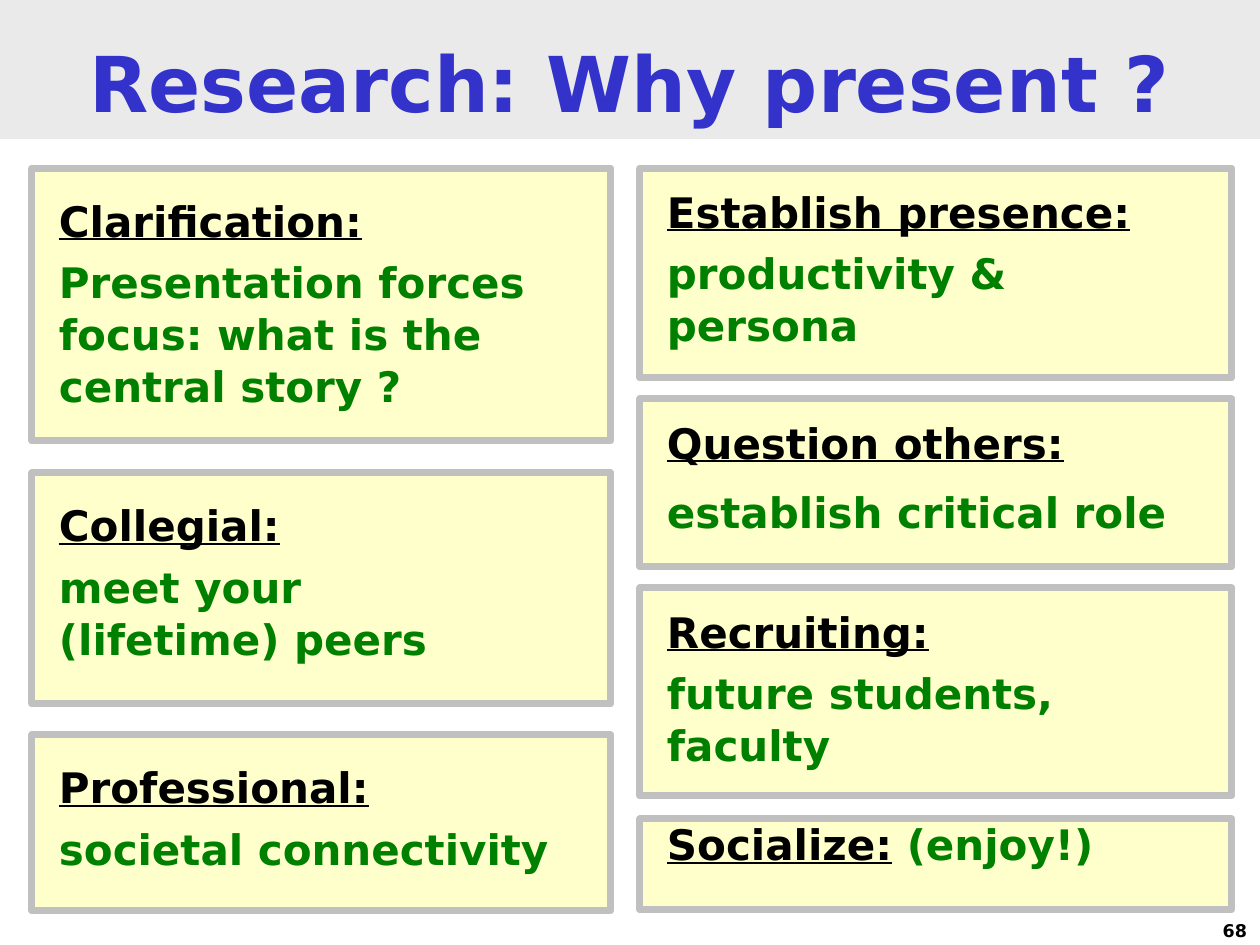
"""Build the slide on why researchers present their work."""
from dataclasses import dataclass

from pptx import Presentation
from pptx.dml.color import RGBColor
from pptx.enum.shapes import MSO_SHAPE
from pptx.enum.text import MSO_ANCHOR, MSO_AUTO_SIZE, PP_ALIGN
from pptx.util import Pt

TITLE = "Research: Why present ?"
PAGE_NUMBER = "68"
LEFT_COLUMN = {
    "left": 32, "width": 579, "inset": 27,
    "cards": [
        {"top": 168, "height": 273, "heading": "Clarification:",
         "lines": ["Presentation forces", "focus: what is the", "central story ?"]},
        {"top": 473, "height": 231, "heading": "Collegial:",
         "lines": ["meet your", "(lifetime) peers"]},
        {"top": 735, "height": 176, "heading": "Professional:",
         "lines": ["societal connectivity"]},
    ],
}
RIGHT_COLUMN = {
    "left": 640, "width": 592, "inset": 18,
    "cards": [
        {"top": 168, "height": 210, "heading": "Establish presence:",
         "lines": ["productivity &", "persona"]},
        {"top": 399, "height": 168, "heading": "Question others:",
         "lines": ["establish critical role"], "gap": 10},
        {"top": 588, "height": 208, "heading": "Recruiting:",
         "lines": ["future students,", "faculty"]},
        {"top": 819, "height": 91, "heading": "Socialize:",
         "aside": "(enjoy!)", "lines": [], "inset": 0},
    ],
}


@dataclass(frozen=True)
class Theme:
    """Hold the colours, font and type sizes."""
    font: str = "DejaVu Sans"
    band: str = "EAEAEA"
    title: str = "3333CC"
    card: str = "FFFFCC"
    border: str = "C0C0C0"
    heading: str = "000000"
    body: str = "008000"
    title_size: int = 44
    card_size: int = 24
    number_size: int = 10
    border_width: int = 4
    heading_gap: float = 5.5
    line_spacing: float = 1.03


THEME = Theme()
SLIDE_WIDTH, SLIDE_HEIGHT = 1260, 945
BAND_HEIGHT = 139
TEXT_INDENT = 27


def px(length):
    """Turn pixels into EMU."""
    return round(length * 914400 / 126)


def colour(code):
    """Turn a hex code into a colour."""
    return RGBColor.from_string(code)


def style(font, size, code):
    """Format a font in the bold face of the slide."""
    font.name, font.size, font.bold = THEME.font, Pt(size), True
    font.color.rgb = colour(code)


def prepare_frame(shape, left, top, right):
    """Set a top-anchored text frame with the given insets in pixels."""
    frame = shape.text_frame
    frame.word_wrap = True
    frame.auto_size = MSO_AUTO_SIZE.NONE
    frame.vertical_anchor = MSO_ANCHOR.TOP
    frame.margin_left, frame.margin_top = px(left), px(top)
    frame.margin_right, frame.margin_bottom = px(right), 0
    return frame


def add_title(slide):
    """Turn the title placeholder into the band across the top."""
    title = slide.shapes.title
    title.left, title.top = 0, 0
    title.width, title.height = px(SLIDE_WIDTH), px(BAND_HEIGHT)
    title.fill.solid()
    title.fill.fore_color.rgb = colour(THEME.band)
    frame = prepare_frame(title, 13, 35, 13)
    frame.text = TITLE
    paragraph = frame.paragraphs[0]
    paragraph.alignment = PP_ALIGN.CENTER
    style(paragraph.font, THEME.title_size, THEME.title)


def add_card(slide, column, card):
    """Draw one bordered card with its heading and lines."""
    shape = slide.shapes.add_shape(
        MSO_SHAPE.RECTANGLE, px(column["left"]), px(card["top"]),
        px(column["width"]), px(card["height"]))
    shape.shadow.inherit = False
    shape.fill.solid()
    shape.fill.fore_color.rgb = colour(THEME.card)
    shape.line.color.rgb = colour(THEME.border)
    shape.line.width = Pt(THEME.border_width)

    frame = prepare_frame(shape, TEXT_INDENT, card.get("inset", column["inset"]), 6)
    paragraph = frame.paragraphs[0]
    paragraph.alignment = PP_ALIGN.LEFT
    heading = paragraph.add_run()
    heading.text = card["heading"]
    style(heading.font, THEME.card_size, THEME.heading)
    heading.font.underline = True
    if "aside" in card:
        aside = paragraph.add_run()
        aside.text = " " + card["aside"]
        style(aside.font, THEME.card_size, THEME.body)

    for index, line in enumerate(card["lines"]):
        paragraph = frame.add_paragraph()
        paragraph.text = line
        paragraph.alignment = PP_ALIGN.LEFT
        paragraph.line_spacing = THEME.line_spacing
        paragraph.space_before = Pt(0 if index else card.get("gap", THEME.heading_gap))
        style(paragraph.font, THEME.card_size, THEME.body)


def add_page_number(slide):
    """Put the page number in the bottom right corner."""
    box = slide.shapes.add_textbox(px(998), px(914), px(262), px(31))
    frame = prepare_frame(box, 13, 6, 13)
    paragraph = frame.paragraphs[0]
    paragraph.text = PAGE_NUMBER
    paragraph.alignment = PP_ALIGN.RIGHT
    style(paragraph.font, THEME.number_size, THEME.heading)


def main():
    """Build and save the presentation."""
    presentation = Presentation()
    presentation.slide_width = px(SLIDE_WIDTH)
    presentation.slide_height = px(SLIDE_HEIGHT)
    slide = presentation.slides.add_slide(presentation.slide_layouts[5])
    add_title(slide)
    for column in (LEFT_COLUMN, RIGHT_COLUMN):
        for card in column["cards"]:
            add_card(slide, column, card)
    add_page_number(slide)
    presentation.save("out.pptx")


if __name__ == "__main__":
    main()
